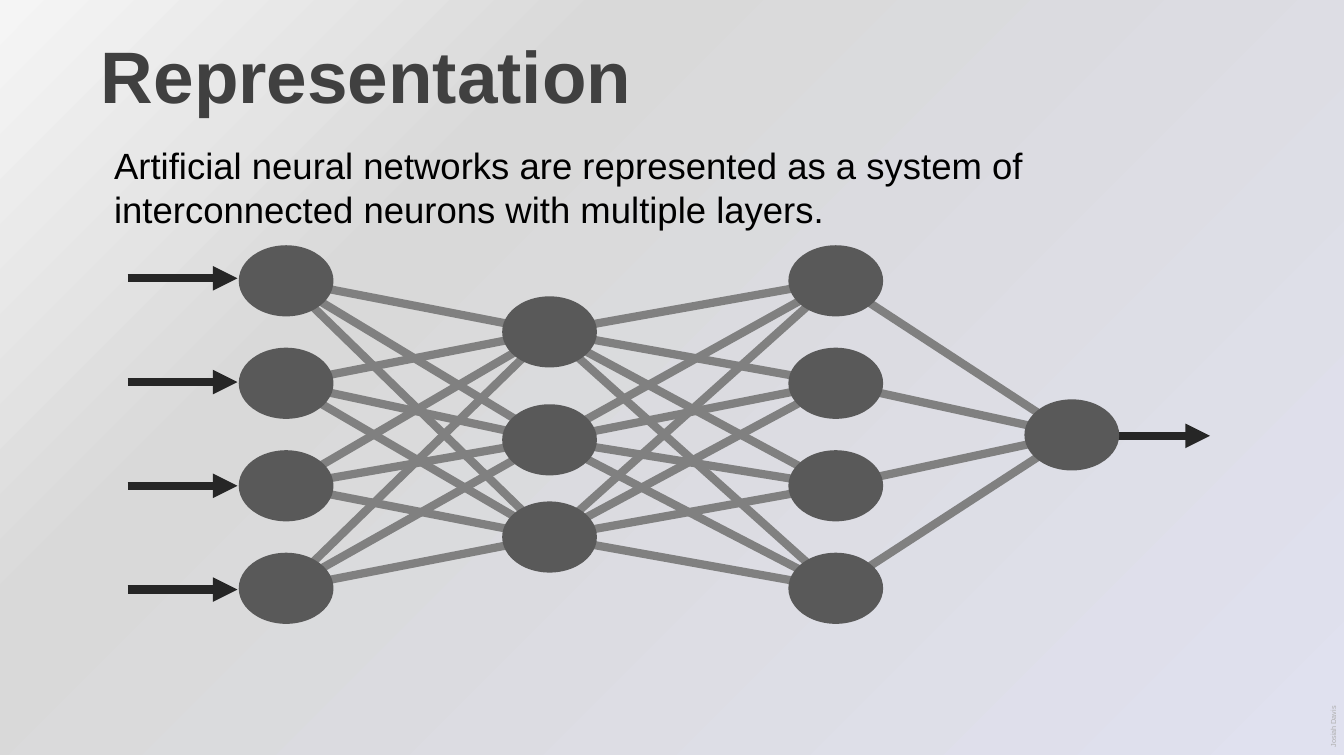
"""Build the slide that shows a neural network as connected layers."""
import copy
import itertools
from dataclasses import dataclass

import pptx
import pptx.dml.color
import pptx.enum.shapes
import pptx.enum.text
import pptx.oxml
import pptx.oxml.ns
import pptx.util

TITLE = "Representation"
SUMMARY = ("Artificial neural networks are represented as a system of "
           "interconnected neurons with multiple layers.")
AUTHOR = "Josiah Davis"

FOUR_ROWS = [154 + 56.2 * row for row in range(4)]
LAYERS = [
    (157, FOUR_ROWS),
    (301.5, [182, 241.2, 294.5]),
    (458.5, FOUR_ROWS),
    (588, [238.5]),
]
NEURON_WIDTH, NEURON_HEIGHT = 52, 39
INPUT_ARROWS = [((70, 152.6 + 56.9 * row), (130.3, 152.6 + 56.9 * row)) for row in range(4)]
OUTPUT_ARROW = ((602.6, 239), (663.8, 239))


@dataclass(frozen=True)
class Theme:
    font: str = "Arial"
    title: str = "404040"
    body: str = "000000"
    author: str = "AFAFAF"
    neuron: str = "595959"
    link: str = "808080"
    arrow: str = "262626"
    title_size: float = 40
    body_size: float = 20
    author_size: float = 4
    line_width: float = 4.5
    background: tuple = ((0, "F5F5F5"), (0.3, "D9D9D9"), (1, "E0E1EF"))


THEME = Theme()


def rgb(code):
    return pptx.dml.color.RGBColor.from_string(code)


def points(*lengths):
    return [pptx.util.Pt(length) for length in lengths]


def paint_background(page):
    fill = page.background.fill
    fill.gradient()
    fill.gradient_angle = 315
    stops = page.element.find(".//" + pptx.oxml.ns.qn("a:gsLst"))
    stops.append(copy.deepcopy(stops[0]))
    for stop, (position, code) in zip(fill.gradient_stops, THEME.background):
        stop.position = position
        stop.color.rgb = rgb(code)


def write(box, text, place, size, color, bold=False):
    box.left, box.top, box.width, box.height = points(*place)
    frame = box.text_frame
    frame.text = text
    frame.auto_size = pptx.enum.text.MSO_AUTO_SIZE.NONE
    para = frame.paragraphs[0]
    para.alignment = pptx.enum.text.PP_ALIGN.LEFT
    para.space_before = pptx.util.Pt(0)
    font = para.runs[0].font
    font.name, font.size, font.bold = THEME.font, pptx.util.Pt(size), bold
    font.color.rgb = rgb(color)
    return frame


def clear_insets(frame):
    frame.margin_left = frame.margin_top = frame.margin_right = frame.margin_bottom = 0


def add_texts(page):
    title, body = page.placeholders
    frame = write(title, TITLE, (55.4, 42.5, 634.3, 22.3), THEME.title_size, THEME.title, True)
    frame.vertical_anchor = pptx.enum.text.MSO_ANCHOR.BOTTOM
    clear_insets(frame)

    frame = write(body, SUMMARY, (55.4, 74.9, 634.3, 55.4), THEME.body_size, THEME.body)
    properties = frame.paragraphs[0]._p.get_or_add_pPr()
    properties.set("marL", "0")
    properties.set("indent", "0")
    properties.append(pptx.oxml.parse_xml(f'<a:buNone {pptx.oxml.ns.nsdecls("a")}/>'))

    place = (718.6, 394.6, 25.2, 5)
    box = page.shapes.add_textbox(*points(*place))
    box.rotation = 270
    frame = write(box, AUTHOR, place, THEME.author_size, THEME.author)
    frame.word_wrap = False
    frame.paragraphs[0].line_spacing = 1.06
    clear_insets(frame)


def add_line(page, start, end, color, arrow=False):
    line = page.shapes.add_connector(
        pptx.enum.shapes.MSO_CONNECTOR.STRAIGHT, *points(*start, *end))
    line.line.color.rgb = rgb(color)
    line.line.width = pptx.util.Pt(THEME.line_width)
    namespace = pptx.oxml.ns.nsdecls("a")
    if arrow:
        line.line._get_or_add_ln().append(
            pptx.oxml.parse_xml(f'<a:tailEnd {namespace} type="triangle"/>'))
    line._element.spPr.append(pptx.oxml.parse_xml(f"<a:effectLst {namespace}/>"))


def add_neuron(page, x, y):
    neuron = page.shapes.add_shape(
        pptx.enum.shapes.MSO_SHAPE.OVAL,
        *points(x - NEURON_WIDTH / 2, y - NEURON_HEIGHT / 2, NEURON_WIDTH, NEURON_HEIGHT))
    neuron.shadow.inherit = False
    neuron.fill.solid()
    neuron.fill.fore_color.rgb = rgb(THEME.neuron)
    neuron.line.fill.background()


def add_network(page):
    layers = [[(x, y) for y in rows] for x, rows in LAYERS]
    for layer, following in zip(layers, layers[1:]):
        for start, end in itertools.product(layer, following):
            add_line(page, start, end, THEME.link)
    hidden_and_input, output = layers[:-1], layers[-1]
    for x, y in itertools.chain(*hidden_and_input):
        add_neuron(page, x, y)
    for start, end in [*INPUT_ARROWS, OUTPUT_ARROW]:
        add_line(page, start, end, THEME.arrow, arrow=True)
    add_neuron(page, *output[0])


def main():
    deck = pptx.Presentation()
    deck.slide_width, deck.slide_height = points(737.28, 414)
    page = deck.slides.add_slide(deck.slide_layouts[1])
    paint_background(page)
    add_texts(page)
    add_network(page)
    deck.save("out.pptx")


if __name__ == "__main__":
    main()
